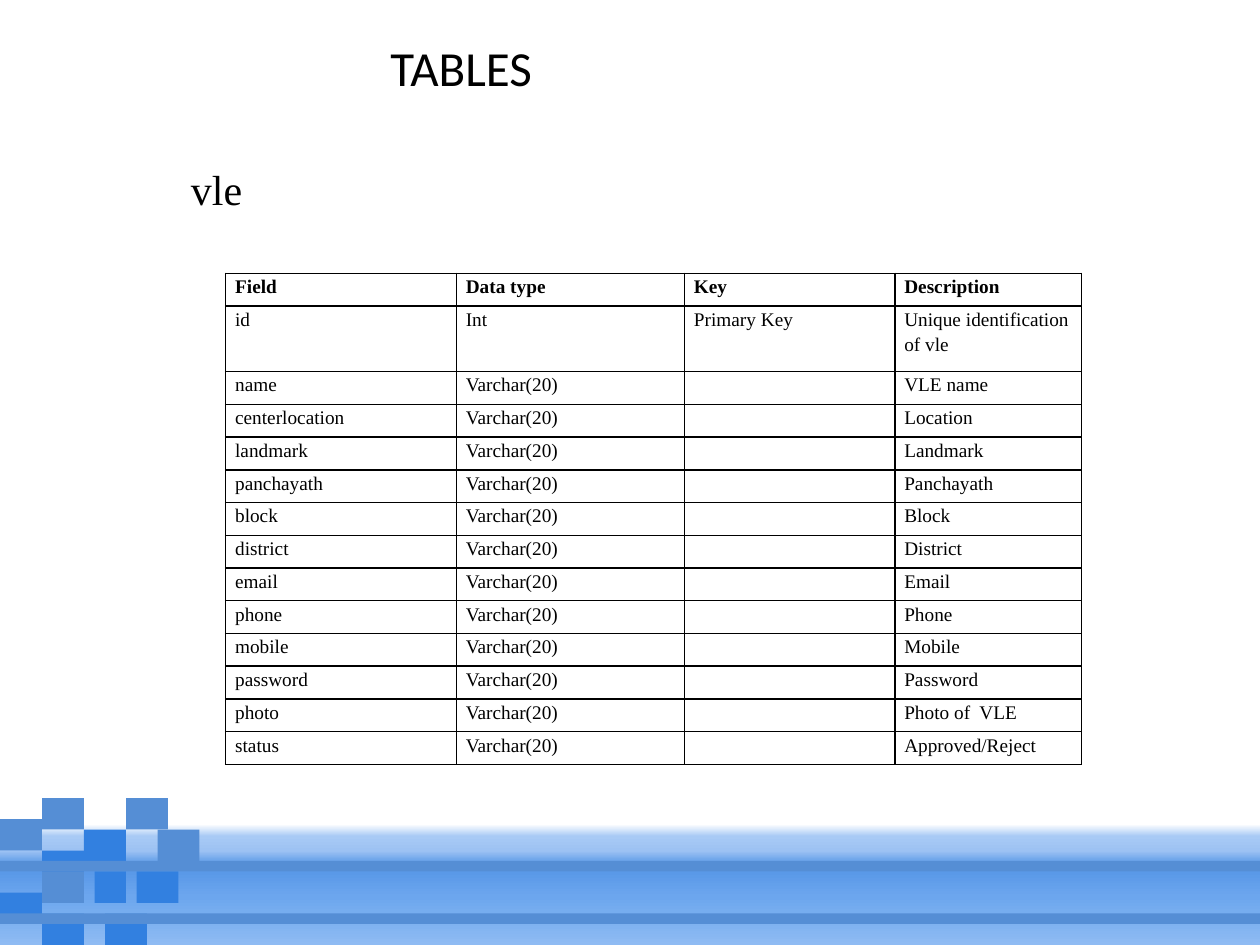
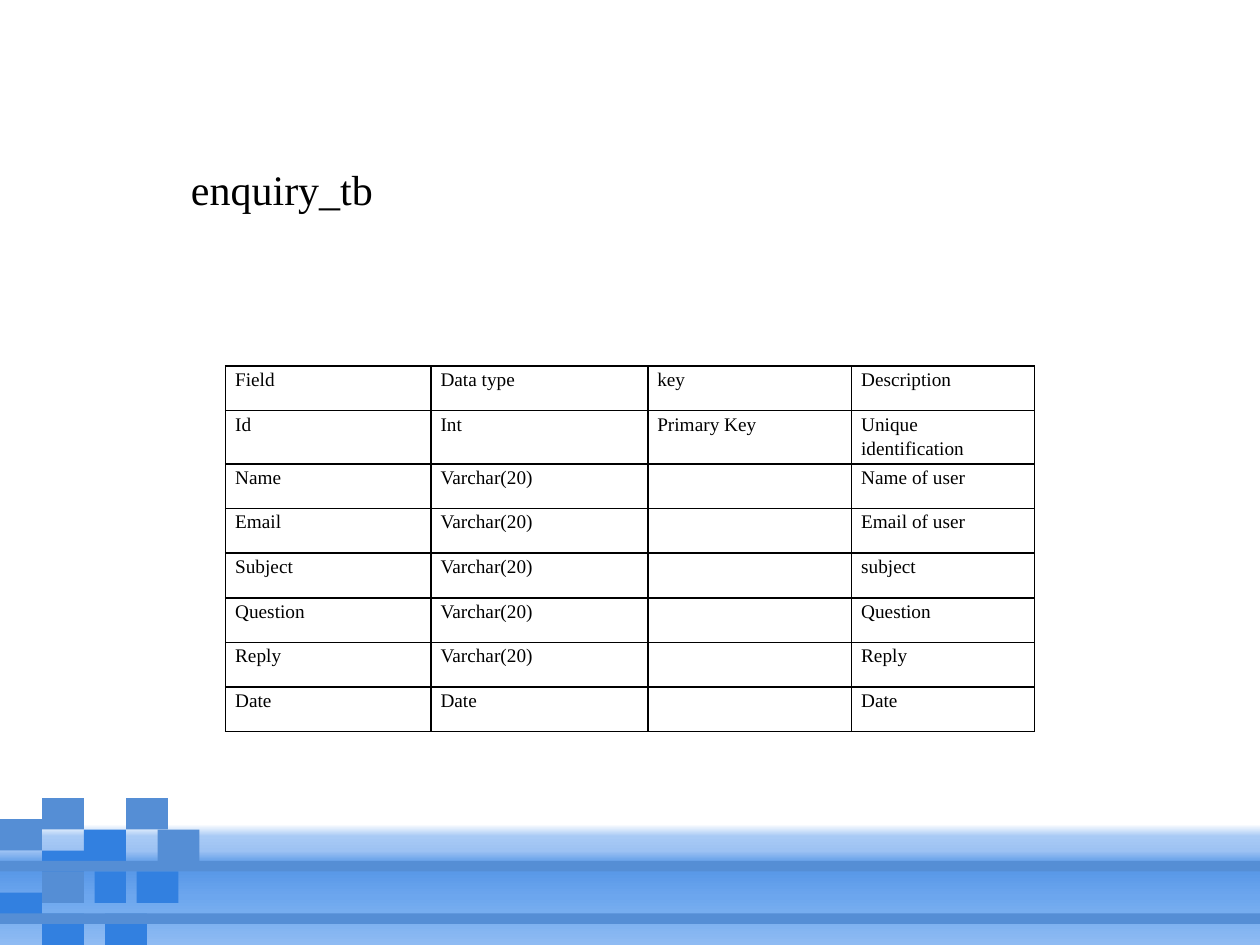
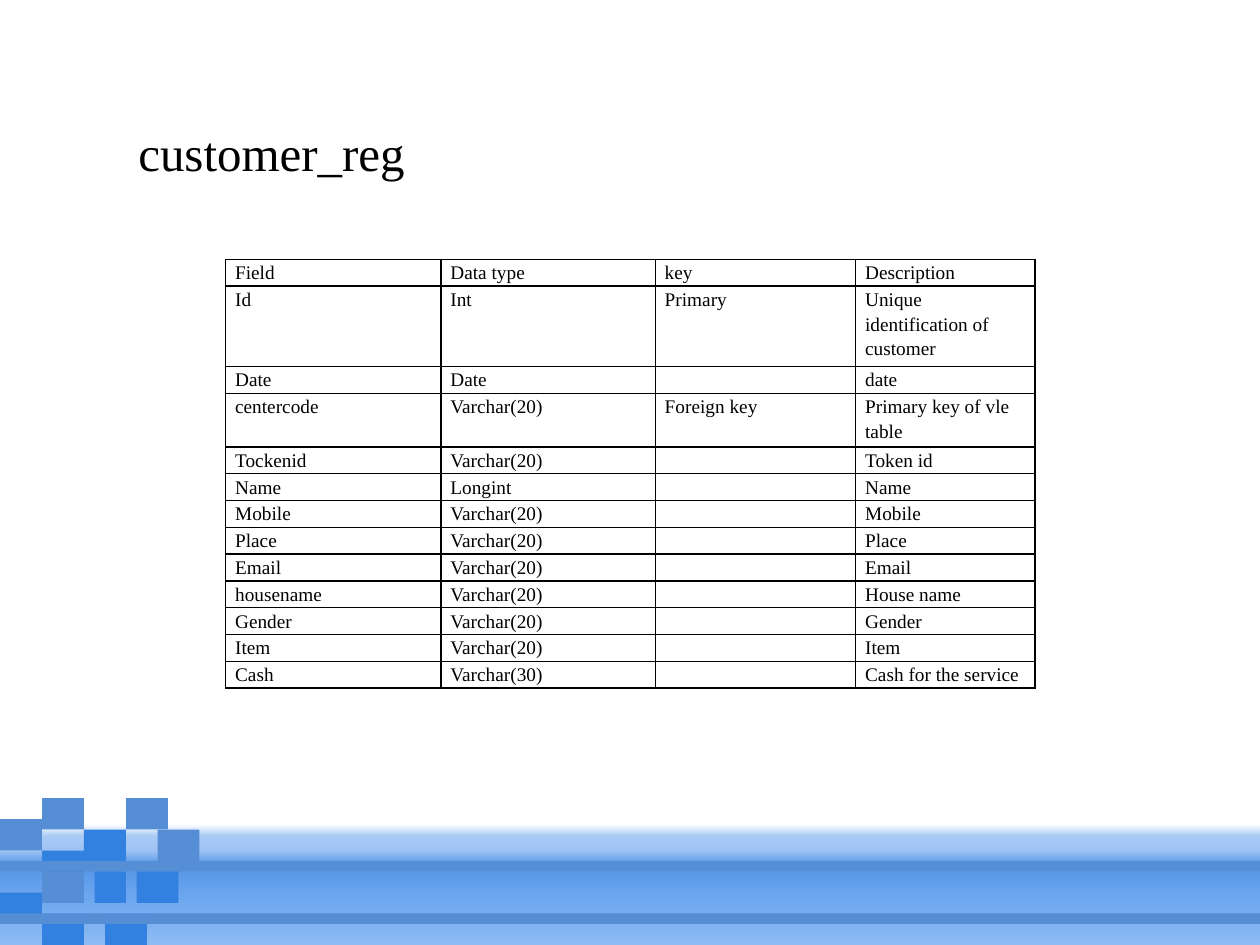
import dataclasses

import lxml.etree
import pptx
import pptx.dml.color
import pptx.enum.shapes
import pptx.enum.text
import pptx.oxml.ns
import pptx.util

Cm = pptx.util.Cm
Pt = pptx.util.Pt
qn = pptx.oxml.ns.qn


@dataclasses.dataclass(frozen=True)
class Theme:
    ink: str = "000000"
    steel: str = "558ED5"
    azure: str = "3280E0"
    glow: tuple = (
        (0, "FFFFFF"), (10, "A8CAF5"), (22, "9DC2F3"), (30, "6CA4EA"),
        (40, "5A99E8"), (60, "6CA6EE"), (73, "76ADEF"), (100, "8FBBF3"),
    )
    sans: str = "Calibri"
    serif: str = "Times New Roman"
    title_size: int = 28
    name_size: int = 24
    cell_size: int = 11
    line_spacing: float = 1.15
    border_width: int = 1


THEME = Theme()
SLIDE_WIDTH, SLIDE_HEIGHT = 25.4, 19.05
GRID_COLUMNS, GRID_ROWS = 120, 90

MOSAIC = [
    (0, 78, 4, 3, THEME.steel),
    (4, 76, 4, 3, THEME.steel),
    (8, 79, 4, 3, THEME.azure),
    (4, 81, 4, 3, THEME.azure),
    (0, 85, 4, 3, THEME.azure),
    (13, 83, 4, 3, THEME.azure),
    (9, 83, 3, 3, THEME.azure),
    (10, 87, 4, 3, THEME.azure),
    (4, 87, 4, 3, THEME.azure),
    (0, 87, GRID_COLUMNS, 1, THEME.steel),
    (0, 82, GRID_COLUMNS, 1, THEME.steel),
    (4, 83, 4, 3, THEME.steel),
    (12, 76, 4, 3, THEME.steel),
    (15, 79, 4, 3, THEME.steel),
]

VLE = [
    ("Field", "Data type", "Key", "Description"),
    ("id", "Int", "Primary Key", "Unique identification of vle"),
    ("name", "Varchar(20)", "", "VLE name"),
    ("centerlocation", "Varchar(20)", "", "Location"),
    ("landmark", "Varchar(20)", "", "Landmark"),
    ("panchayath", "Varchar(20)", "", "Panchayath"),
    ("block", "Varchar(20)", "", "Block"),
    ("district", "Varchar(20)", "", "District"),
    ("email", "Varchar(20)", "", "Email"),
    ("phone", "Varchar(20)", "", "Phone"),
    ("mobile", "Varchar(20)", "", "Mobile"),
    ("password", "Varchar(20)", "", "Password"),
    ("photo", "Varchar(20)", "", "Photo of  VLE"),
    ("status", "Varchar(20)", "", "Approved/Reject"),
]

ENQUIRY = [
    ("Field", "Data type", "key", "Description"),
    ("Id", "Int", "Primary Key", "Unique identification"),
    ("Name", "Varchar(20)", "", "Name of user"),
    ("Email", "Varchar(20)", "", "Email of user"),
    ("Subject", "Varchar(20)", "", "subject"),
    ("Question", "Varchar(20)", "", "Question"),
    ("Reply", "Varchar(20)", "", "Reply"),
    ("Date", "Date", "", "Date"),
]

CUSTOMER = [
    ("Field", "Data type", "key", "Description"),
    ("Id", "Int", "Primary", "Unique identification of customer"),
    ("Date", "Date", "", "date"),
    ("centercode", "Varchar(20)", "Foreign key", "Primary key of vle table"),
    ("Tockenid", "Varchar(20)", "", "Token id"),
    ("Name", "Longint", "", "Name"),
    ("Mobile", "Varchar(20)", "", "Mobile"),
    ("Place", "Varchar(20)", "", "Place"),
    ("Email", "Varchar(20)", "", "Email"),
    ("housename", "Varchar(20)", "", "House name"),
    ("Gender", "Varchar(20)", "", "Gender"),
    ("Item", "Varchar(20)", "", "Item"),
    ("Cash", "Varchar(30)", "", "Cash for the service"),
]


def rgb(value):
    return pptx.dml.color.RGBColor.from_string(value)


def add_run(paragraph, text, size, font, bold=False):
    run = paragraph.add_run()
    run.text = text
    run.font.size = Pt(size)
    run.font.name = font
    run.font.bold = bold
    run.font.color.rgb = rgb(THEME.ink)


def add_block(slide, column, row, width, height, colour):
    step = SLIDE_WIDTH / GRID_COLUMNS
    block = slide.shapes.add_shape(
        pptx.enum.shapes.MSO_SHAPE.RECTANGLE,
        *(Cm(step * count) for count in (column, row, width, height)),
    )
    block.shadow.inherit = False
    block.fill.solid()
    block.fill.fore_color.rgb = rgb(colour)
    block.line.fill.background()
    return block


def apply_glow(block):
    block.fill.gradient()
    block.fill.gradient_angle = 270
    stops = block.element.spPr.find(qn("a:gradFill")).find(qn("a:gsLst"))
    for stop in list(stops):
        stops.remove(stop)
    for percent, colour in THEME.glow:
        stop = lxml.etree.SubElement(stops, qn("a:gs"), pos=str(percent * 1000))
        lxml.etree.SubElement(stop, qn("a:srgbClr"), val=colour)


def add_footer(slide):
    top = 78.5
    apply_glow(add_block(slide, 0, top, GRID_COLUMNS, GRID_ROWS - top, THEME.steel))
    for block in MOSAIC:
        add_block(slide, *block)


def add_heading(slide, text, left, top, width, size, font, wrap=False):
    box = slide.shapes.add_textbox(Cm(left), Cm(top), Cm(width), Cm(size * 0.05))
    box.text_frame.word_wrap = wrap
    box.text_frame.vertical_anchor = pptx.enum.text.MSO_ANCHOR.TOP
    add_run(box.text_frame.paragraphs[0], text, size, font)


def add_borders(cell):
    properties = cell._tc.get_or_add_tcPr()
    for position, side in enumerate(("a:lnL", "a:lnR", "a:lnT", "a:lnB")):
        border = lxml.etree.Element(qn(side), w=str(Pt(THEME.border_width)))
        fill = lxml.etree.SubElement(border, qn("a:solidFill"))
        lxml.etree.SubElement(fill, qn("a:srgbClr"), val=THEME.ink)
        properties.insert(position, border)


def fill_cell(cell, text, bold):
    cell.fill.background()
    cell.margin_left = cell.margin_right = Cm(0.19)
    cell.margin_top = cell.margin_bottom = 0
    add_borders(cell)
    paragraph = cell.text_frame.paragraphs[0]
    paragraph.line_spacing = THEME.line_spacing
    if text:
        add_run(paragraph, text, THEME.cell_size, THEME.serif, bold)
    else:
        ending = lxml.etree.SubElement(
            paragraph._p, qn("a:endParaRPr"), sz=str(THEME.cell_size * 100))
        lxml.etree.SubElement(ending, qn("a:latin"), typeface=THEME.serif)


def add_schema(slide, fields, top, widths, row_height, tall_rows, bold_header=False):
    heights = [tall_rows.get(index, 1) * row_height for index in range(len(fields))]
    table = slide.shapes.add_table(
        len(fields), len(widths), Cm(4.55), Cm(top), Cm(sum(widths)), Cm(sum(heights))
    ).table
    table.first_row = table.horz_banding = False
    for column, width in zip(table.columns, widths):
        column.width = Cm(width)
    for index, (row, height, field) in enumerate(zip(table.rows, heights, fields)):
        row.height = Cm(height)
        for cell, text in zip(row.cells, field):
            fill_cell(cell, text, bold_header and index == 0)


def add_slide(deck):
    slide = deck.slides.add_slide(deck.slide_layouts[6])
    add_footer(slide)
    return slide


def main():
    deck = pptx.Presentation()
    deck.slide_width, deck.slide_height = Cm(SLIDE_WIDTH), Cm(SLIDE_HEIGHT)

    vle = add_slide(deck)
    add_heading(vle, "TABLES", 7.62, 0.64, 12.7, THEME.title_size, THEME.sans, wrap=True)
    add_schema(vle, VLE, 5.51, (4.65, 4.6, 4.24, 3.76), 0.66, {1: 2}, bold_header=True)
    add_heading(vle, "vle", 3.6, 3.18, 1.55, THEME.name_size, THEME.serif)

    enquiry = add_slide(deck)
    add_schema(enquiry, ENQUIRY, 7.38, (4.14, 4.37, 4.11, 3.68), 0.9, {1: 1.18})
    add_heading(enquiry, "enquiry_tb", 3.6, 3.18, 4.22, THEME.name_size, THEME.serif)

    customer = add_slide(deck)
    add_schema(customer, CUSTOMER, 5.23, (4.34, 4.32, 4.04, 3.61), 0.54, {1: 3, 3: 2})
    add_heading(customer, "customer_reg", 2.54, 2.34, 5.94, THEME.title_size, THEME.serif)

    deck.save("out.pptx")


if __name__ == "__main__":
    main()
